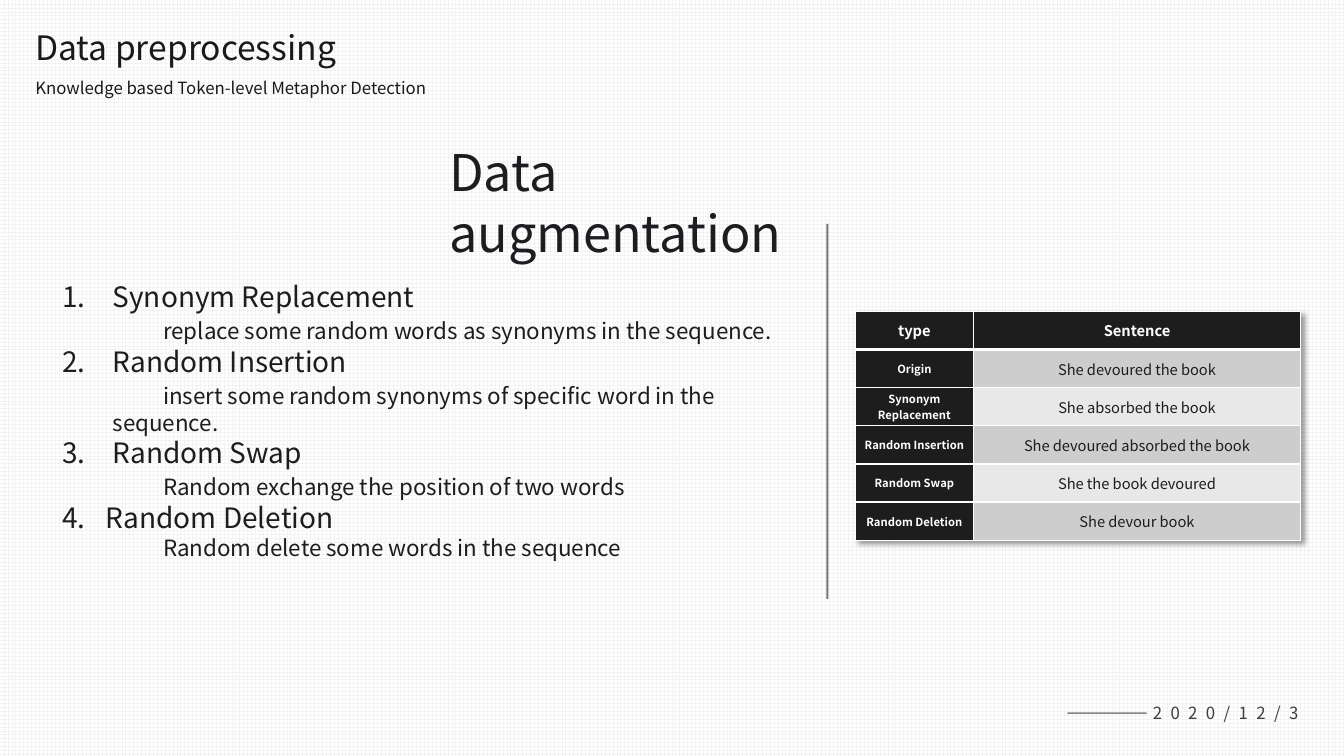
"""Build the data augmentation slide and save it as out.pptx."""
import lxml.etree
import pptx
import pptx.dml.color
import pptx.dml.fill
import pptx.enum.dml
import pptx.enum.shapes
import pptx.enum.text
import pptx.oxml.ns
import pptx.util
from pptx.util import Cm, Pt

THEME = {
    "heading_font": "Noto Sans CJK JP", "body_font": "Noto Sans CJK SC",
    "ink": "1C1D20", "heading": "191919", "dark": "1D1D1D", "white": "FFFFFF",
    "grid": "F2F2F2", "bands": ("CDCDCD", "E8E8E8"), "date": "3E3E3E", "dash": "838486",
    "title_size": 36, "heading_size": 24, "item_size": 20, "detail_size": 16,
    "small_size": 12, "cell_size": 10.5, "label_size": 8,
}
HEADING = "Data preprocessing"
SUBHEADING = "Knowledge based Token-level Metaphor Detection"
TITLE = "Data augmentation"
DATE = "2020/12/3"
METHODS = [
    ("Synonym Replacement", "replace some random words as synonyms in the sequence.", 1.27, 3),
    ("Random Insertion", "insert some random synonyms of specific word in the sequence.", 1.27, 3),
    ("Random Swap", "Random exchange the position of two words", 1.27, 3),
    ("Random Deletion", "Random delete some words in the sequence", 1.1, 0),
]
EXAMPLES = [
    ("type", "Sentence"),
    ("Origin", "She devoured the book"),
    ("Synonym Replacement", "She absorbed the book"),
    ("Random Insertion", "She devoured absorbed the book"),
    ("Random Swap", "She the book devoured"),
    ("Random Deletion", "She devour book"),
]
COLUMN_WIDTHS = (2.97, 8.25)
ROW_HEIGHT = 0.96
DETAIL_INDENT = 1.27


def rgb(name):
    return pptx.dml.color.RGBColor.from_string(THEME.get(name, name))


def add_xml(parent, tag, **attributes):
    return lxml.etree.SubElement(parent, pptx.oxml.ns.qn(tag), attributes)


def add_span(para, text, size, color, font="body_font", bold=False):
    span = para.add_run()
    span.text = text
    span.font.size, span.font.bold = Pt(THEME[size]), bold
    span.font.name = THEME[font]
    span.font.color.rgb = rgb(color)
    add_xml(span.font._element, "a:ea", typeface=THEME[font])
    return span


def add_box(page, left, top, width, height, insets):
    frame = page.shapes.add_textbox(Cm(left), Cm(top), Cm(width), Cm(height)).text_frame
    frame.word_wrap = True
    frame.margin_left, frame.margin_top, frame.margin_right, frame.margin_bottom = map(Cm, insets)
    return frame


def indent(para, margin, first_line):
    properties = para._p.get_or_add_pPr()
    properties.set("marL", str(Cm(margin)))
    properties.set("indent", str(Cm(first_line)))
    return properties


def add_headings(page):
    for text, top, height, size in ((HEADING, 0.53, 1.1, "heading_size"),
                                    (SUBHEADING, 1.9, 0.54, "small_size")):
        para = add_box(page, 0.89, top, 11.35, height, (0, 0, 0.25, 0)).paragraphs[0]
        para.line_spacing = 1.14
        add_span(para, text, size, "heading", "heading_font")
    para = add_box(page, 11.07, 3.43, 11.71, 1.8, (0.25, 0.13, 0.25, 0.13)).paragraphs[0]
    add_span(para, TITLE, "title_size", "ink")


def add_methods(page):
    frame = add_box(page, 1.32, 6.91, 19.53, 6.93, (0.25, 0.13, 0.25, 0.13))
    for number, (name, detail, hanging, gap) in enumerate(METHODS, 1):
        para = frame.paragraphs[0] if number == 1 else frame.add_paragraph()
        properties = indent(para, hanging, -hanging)
        add_xml(properties, "a:buFont", typeface="+mj-lt")
        add_xml(properties, "a:buAutoNum", type="arabicPeriod", startAt=str(number))
        add_span(para, name, "item_size", "ink")
        para = frame.add_paragraph()
        indent(para, DETAIL_INDENT, DETAIL_INDENT)
        para.space_before = Pt(gap)
        add_span(para, detail, "detail_size", "ink")


def add_divider(page):
    line = page.shapes.add_connector(pptx.enum.shapes.MSO_CONNECTOR.STRAIGHT,
                                     Cm(20.85), Cm(5.64), Cm(20.85), Cm(15.09))
    line.line.width = Pt(1.5)
    line.line.color.rgb = rgb("dark")
    color = line.line._ln.find(".//" + pptx.oxml.ns.qn("a:srgbClr"))
    add_xml(color, "a:alpha", val="60000")
    add_xml(line._element.spPr, "a:effectLst")


def style_cell(cell, text, row, column):
    header, label = row == 0, column == 0
    dark = header or label
    cell.margin_left = cell.margin_right = Cm(0.18)
    cell.margin_top = cell.margin_bottom = 0
    cell.vertical_anchor = pptx.enum.text.MSO_ANCHOR.MIDDLE
    para = cell.text_frame.paragraphs[0]
    para.alignment = pptx.enum.text.PP_ALIGN.CENTER
    add_span(para, text, "label_size" if label and not header else "cell_size",
             "white" if dark else "dark", bold=dark)
    properties = cell._tc.get_or_add_tcPr()
    for side in "LRTB":
        thick = (header and side == "B") or (row == 1 and side == "T")
        border = add_xml(properties, "a:ln" + side, w=str(Pt(3 if thick else 1)))
        add_xml(add_xml(border, "a:solidFill"), "a:srgbClr", val=THEME["white"])
    cell.fill.solid()
    cell.fill.fore_color.rgb = rgb("dark" if dark else THEME["bands"][(row - 1) % 2])


def add_examples(page):
    table = page.shapes.add_table(len(EXAMPLES), 2, Cm(21.56), Cm(7.85), Cm(sum(COLUMN_WIDTHS)),
                                  Cm(ROW_HEIGHT * len(EXAMPLES))).table
    for column, width in enumerate(COLUMN_WIDTHS):
        table.columns[column].width = Cm(width)
    for row, texts in enumerate(EXAMPLES):
        table.rows[row].height = Cm(ROW_HEIGHT)
        for column, text in enumerate(texts):
            style_cell(table.cell(row, column), text, row, column)
    properties = table._tbl.tblPr
    effects = add_xml(properties, "a:effectLst")
    properties.insert(0, effects)
    shadow = add_xml(effects, "a:outerShdw", blurRad=str(Pt(4)), dist=str(Pt(3)), dir="2700000",
                     algn="tl", rotWithShape="0")
    add_xml(add_xml(shadow, "a:srgbClr", val="000000"), "a:alpha", val="40000")


def add_date(page):
    dash = page.shapes.add_shape(pptx.enum.shapes.MSO_SHAPE.RECTANGLE,
                                 Cm(26.9), Cm(17.95), Cm(2), Cm(0.04))
    dash.shadow.inherit = False
    dash.fill.solid()
    dash.fill.fore_color.rgb = rgb("dash")
    dash.line.fill.background()
    frame = add_box(page, 28.73, 17.5, 4.32, 0.94, (0, 0, 0, 0))
    frame.vertical_anchor = pptx.enum.text.MSO_ANCHOR.MIDDLE
    para = frame.paragraphs[0]
    para.alignment = pptx.enum.text.PP_ALIGN.CENTER
    span = add_span(para, DATE, "small_size", "date", "heading_font")
    span.font._element.set("spc", "600")


def main():
    deck = pptx.Presentation()
    deck.slide_width, deck.slide_height = Cm(33.87), Cm(19.05)
    page = deck.slides.add_slide(deck.slide_layouts[6])
    backdrop = page.background.fill
    backdrop.patterned()
    backdrop.pattern = pptx.enum.dml.MSO_PATTERN.LARGE_GRID
    backdrop.fore_color.rgb, backdrop.back_color.rgb = rgb("grid"), rgb("white")
    add_date(page)
    add_headings(page)
    add_methods(page)
    add_divider(page)
    add_examples(page)
    deck.save("out.pptx")


if __name__ == "__main__":
    main()
